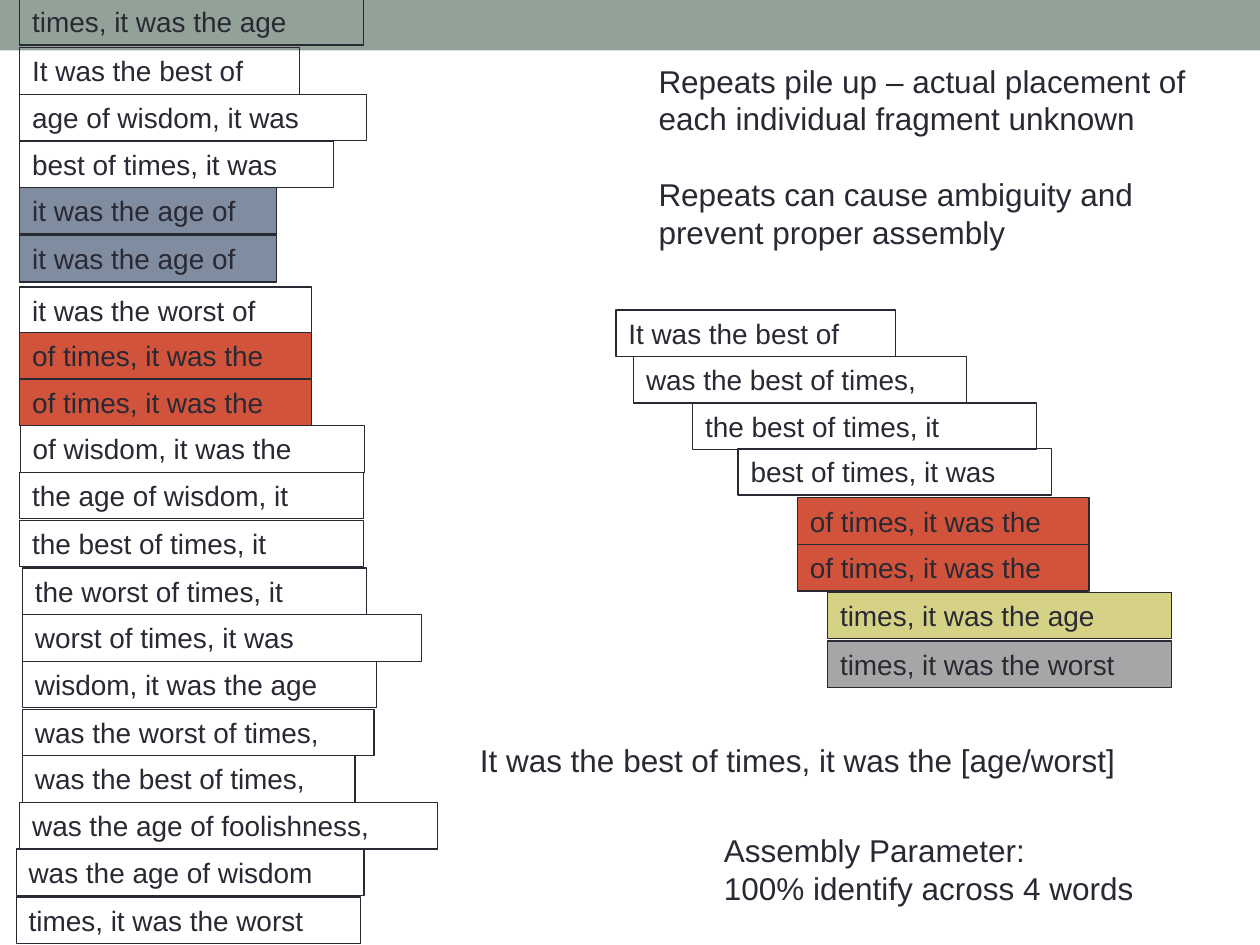
from pptx import Presentation
from pptx.dml.color import RGBColor
from pptx.enum import shapes, text
from pptx.util import Pt

INK = RGBColor(0x29, 0x29, 0x34)
SAGE = RGBColor(0x93, 0xA2, 0x99)
SLATE = RGBColor(0x80, 0x8D, 0xA0)
RED = RGBColor(0xD2, 0x53, 0x3C)
YELLOW = RGBColor(0xD5, 0xD2, 0x86)
GREY = RGBColor(0xA6, 0xA6, 0xA6)

FONT = "Arial"
FRAGMENT_HEIGHT = 26.6
LINE_HEIGHT = 21.6

POOL = [
    (2, 0, 196.6, "times, it was the age", None),
    (2, 28.1, 159.8, "It was the best of", None),
    (2, 54.7, 198, "age of wisdom, it was", None),
    (2, 81.4, 179.3, "best of times, it was", None),
    (2, 108, 146.9, "it was the age of", SLATE),
    (2, 135.4, 146.9, "it was the age of", SLATE),
    (2, 164.9, 166.6, "it was the worst of", None),
    (2, 190.8, 166.6, "of times, it was the", RED),
    (2, 217.4, 166.6, "of times, it was the", RED),
    (2.3, 244.1, 196.6, "of wisdom, it was the", None),
    (2, 270.7, 196.6, "the age of wisdom, it", None),
    (2, 298.1, 196.6, "the best of times, it", None),
    (3.6, 325.4, 196.6, "the worst of times, it", None),
    (3.6, 352.1, 228.2, "worst of times, it was", None),
    (3.6, 378.7, 202.3, "wisdom, it was the age", None),
    (3.6, 406.1, 200.9, "was the worst of times,", None),
    (3.6, 432.7, 190.1, "was the best of times,", None),
    (2, 459.4, 238.9, "was the age of foolishness,", None),
    (0, 486, 198.7, "was the age of wisdom", None),
    (0, 513.4, 196.6, "times, it was the worst", None),
]

ASSEMBLY = [
    (0, 0, 159.8, "It was the best of", None),
    (10.1, 26.6, 190.1, "was the best of times,", None),
    (43.9, 53.1, 196.6, "the best of times, it", None),
    (69.8, 79.2, 179.3, "best of times, it was", None),
    (103.7, 107.3, 166.6, "of times, it was the", RED),
    (103.7, 133.9, 166.6, "of times, it was the", RED),
    (121, 161.3, 196.6, "times, it was the age", YELLOW),
    (121, 189.1, 196.6, "times, it was the worst", GREY),
]


def write(frame, lines, size, gap=0):
    """Fill a text frame with left-aligned lines, spaced by gap."""
    frame.word_wrap = True
    frame.auto_size = text.MSO_AUTO_SIZE.SHAPE_TO_FIT_TEXT
    frame.vertical_anchor = text.MSO_ANCHOR.TOP
    for index, line in enumerate(lines):
        paragraph = frame.add_paragraph() if index else frame.paragraphs[0]
        paragraph.alignment = text.PP_ALIGN.LEFT
        if index and gap:
            paragraph.space_before = Pt(gap)
        run = paragraph.add_run()
        run.text = line
        run.font.name = FONT
        run.font.size = Pt(size)
        run.font.color.rgb = INK


def add_box(slide, left, top, width, height, fill=None, line=None):
    """Add a plain rectangle with optional fill and hairline border."""
    box = slide.shapes.add_shape(
        shapes.MSO_SHAPE.RECTANGLE, Pt(left), Pt(top), Pt(width), Pt(height))
    box.shadow.inherit = False
    if fill is None:
        box.fill.background()
    else:
        box.fill.solid()
        box.fill.fore_color.rgb = fill
    if line is None:
        box.line.fill.background()
    else:
        box.line.color.rgb = line
        box.line.width = Pt(0)
    return box


def add_fragments(slide, left, top, fragments):
    """Place sentence fragments at their offsets from the region's corner."""
    for indent, drop, width, words, fill in fragments:
        fragment = add_box(slide, left + indent, top + drop, width,
                           FRAGMENT_HEIGHT, fill, INK)
        write(fragment.text_frame, [words], 16)


def add_note(slide, left, top, width, height, lines, gap=0):
    """Place a borderless note in the given box."""
    note = slide.shapes.add_textbox(Pt(left), Pt(top), Pt(width), Pt(height))
    write(note.text_frame, lines, 18, gap)


def build_slide(slide, width):
    """Lay out the band, the fragment pool, the assembly and the notes."""
    add_box(slide, 0, 0, width, 28.8, SAGE)
    add_fragments(slide, 9.3, -0.8, POOL)
    add_fragments(slide, 352, 177.2, ASSEMBLY)
    add_note(slide, 406.6, 471.6, 285, 50.4,
             ["Assembly Parameter:", "100% identify across 4 words"])
    add_note(slide, 369.2, 31.7, 322.6, 115.2,
             ["Repeats pile up – actual placement of each individual fragment unknown",
              "Repeats can cause ambiguity and prevent proper assembly"],
             LINE_HEIGHT)
    add_note(slide, 267.1, 419.8, 402.5, 28.8,
             ["It was the best of times, it was the [age/worst]"])


def main():
    """Create and save the one-slide deck."""
    deck = Presentation()
    deck.slide_width, deck.slide_height = Pt(720), Pt(540)
    build_slide(deck.slides.add_slide(deck.slide_layouts[6]), 720)
    deck.save("out.pptx")


if __name__ == "__main__":
    main()
